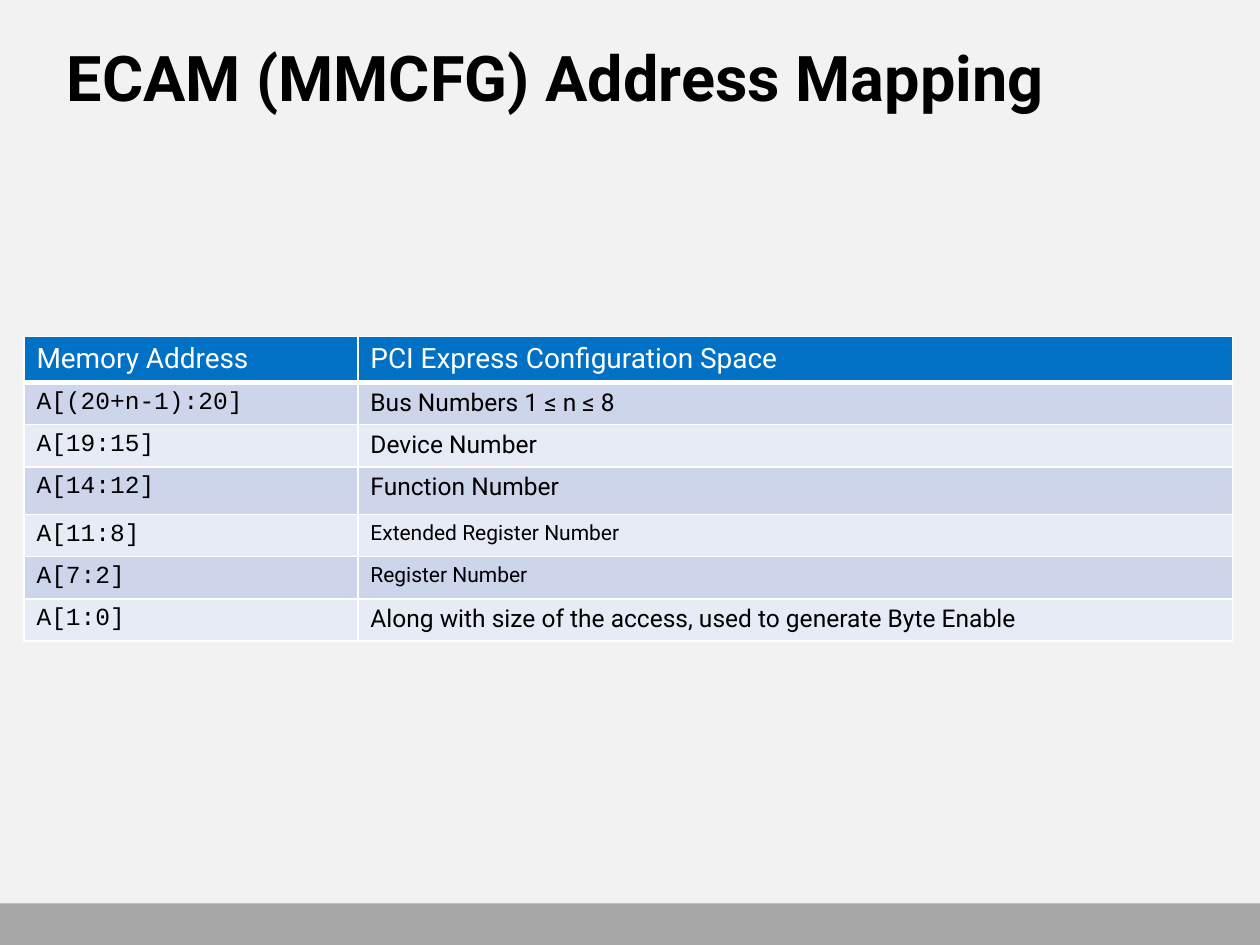
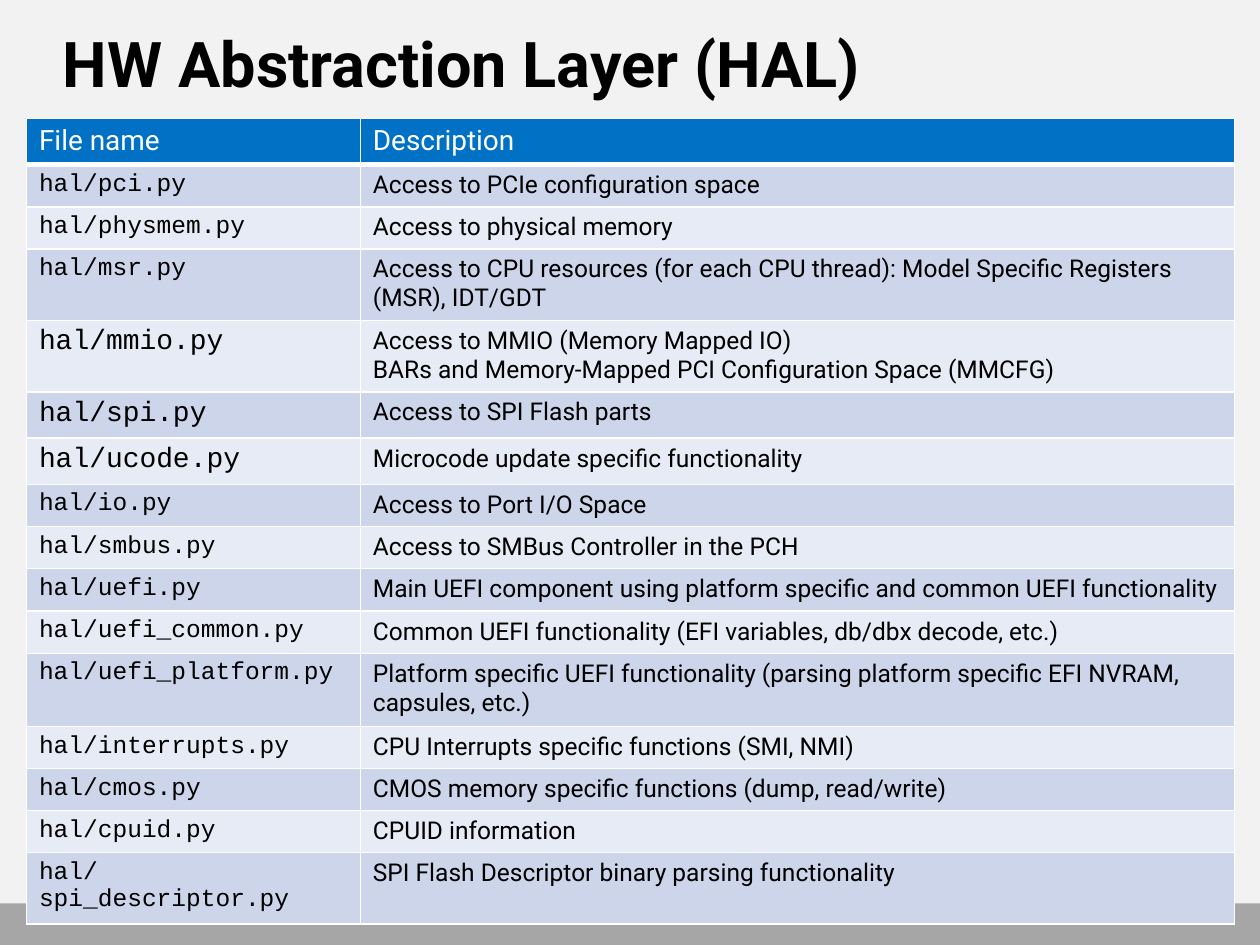
from lxml.etree import SubElement
from pptx import Presentation
from pptx.dml.color import RGBColor
from pptx.enum.shapes import MSO_SHAPE as Preset
from pptx.oxml.ns import qn
from pptx.util import Inches, Pt

PAGE = RGBColor(0xF2, 0xF2, 0xF2)
FOOTER = RGBColor(0xA6, 0xA6, 0xA6)
HEADER = RGBColor(0x00, 0x71, 0xC5)
BANDS = (RGBColor(0xCC, 0xD5, 0xEA), RGBColor(0xE7, 0xEB, 0xF5))
INK = RGBColor(0, 0, 0)
WHITE = RGBColor(0xFF, 0xFF, 0xFF)

PROSE, CODE = "Roboto", "Courier New"
TITLE_SIZE, HEADER_SIZE, BODY_SIZE, SMALL_SIZE = 36, 16, 14, 12

GRID_COLUMNS, GRID_ROWS = 100, 75
TABLE_COLUMNS = (26.5, 69.4)
BLANK_LAYOUT = 6

# Each row: height in grid rows, code, description, then any sizes that differ.
ADDRESS_HEADER = (2, "Memory Address", "PCI Express Configuration Space")
ADDRESS_ROWS = [
    (2.8, "A[(20+n-1):20]", "Bus Numbers 1 ≤ n ≤ 8"),
    (3.2, "A[19:15]", "Device Number"),
    (3.8, "A[14:12]", "Function Number"),
    (2.9, "A[11:8]", "Extended Register Number", BODY_SIZE, SMALL_SIZE),
    (3.1, "A[7:2]", "Register Number", BODY_SIZE, SMALL_SIZE),
    (2.7, "A[1:0]", "Along with size of the access, used to generate Byte Enable"),
]

HAL_HEADER = (3.4, "File name", "Description")
HAL_ROWS = [
    (2.8, "hal/pci.py", "Access to PCIe configuration space"),
    (3.2, "hal/physmem.py", "Access to physical memory"),
    (5.1, "hal/msr.py", "Access to CPU resources (for each CPU thread): "
                        "Model Specific Registers (MSR), IDT/GDT"),
    (5.4, "hal/mmio.py", "Access to MMIO (Memory Mapped IO)\n"
                         "BARs and Memory-Mapped PCI Configuration Space (MMCFG)",
     HEADER_SIZE, BODY_SIZE),
    (3.1, "hal/spi.py", "Access to SPI Flash parts", HEADER_SIZE, BODY_SIZE),
    (2.7, "hal/ucode.py", "Microcode update specific functionality",
     HEADER_SIZE, BODY_SIZE),
    (3.3, "hal/io.py", "Access to Port I/O Space"),
    (3, "hal/smbus.py", "Access to SMBus Controller in the PCH"),
    (3.4, "hal/uefi.py",
     "Main UEFI component using platform specific and common UEFI functionality"),
    (3.3, "hal/uefi_common.py",
     "Common UEFI functionality (EFI variables, db/dbx decode, etc.)"),
    (5.8, "hal/uefi_platform.py", "Platform specific UEFI functionality "
                                  "(parsing platform specific EFI NVRAM, capsules, etc.)"),
    (3.2, "hal/interrupts.py", "CPU Interrupts specific functions (SMI, NMI)"),
    (3.2, "hal/cmos.py", "CMOS memory specific functions (dump, read/write)"),
    (3, "hal/cpuid.py", "CPUID information"),
    (3.7, "hal/spi_descriptor.py", "SPI Flash Descriptor binary parsing functionality"),
]


class Deck:
    def __init__(self):
        self.presentation = Presentation()
        self.presentation.slide_width = Inches(10)
        self.presentation.slide_height = Inches(7.5)
        self.slide = None

    def across(self, columns):
        return round(self.presentation.slide_width * columns / GRID_COLUMNS)

    def down(self, rows):
        return round(self.presentation.slide_height * rows / GRID_ROWS)

    def box(self, left, top, width, height):
        return self.across(left), self.down(top), self.across(width), self.down(height)

    def start_slide(self):
        """Add a slide with the shared background and footer band."""
        layout = self.presentation.slide_layouts[BLANK_LAYOUT]
        self.slide = self.presentation.slides.add_slide(layout)
        background = self.slide.background.fill
        background.solid()
        background.fore_color.rgb = PAGE
        footer = self.slide.shapes.add_shape(
            Preset.RECTANGLE, *self.box(0, 71.7, GRID_COLUMNS, 3.3))
        footer.shadow.inherit = False
        footer.fill.solid()
        footer.fill.fore_color.rgb = FOOTER
        footer.line.fill.background()

    def add_text(self, frame, text, size, font=PROSE, color=INK, bold=False):
        """Fill a text frame, one paragraph for each line of text."""
        for index, line in enumerate(text.split("\n")):
            paragraph = frame.add_paragraph() if index else frame.paragraphs[0]
            run = paragraph.add_run()
            run.text = line
            run.font.name = font
            run.font.size = Pt(size)
            run.font.bold = bold
            run.font.color.rgb = color

    def title(self, text, left, top, width):
        frame = self.slide.shapes.add_textbox(
            *self.box(left, top, width, 10.8)).text_frame
        frame.word_wrap = True
        frame.margin_left = frame.margin_right = frame.margin_bottom = 0
        frame.margin_top = self.down(0.35)
        self.add_text(frame, text, TITLE_SIZE, bold=True)

    def style_cell(self, cell, fill, bottom_width=1):
        """Give a cell its white borders and its fill."""
        properties = cell._tc.get_or_add_tcPr()
        for edge, width in (("L", 1), ("R", 1), ("T", 1), ("B", bottom_width)):
            border = SubElement(properties, qn(f"a:ln{edge}"), w=str(Pt(width)))
            paint = SubElement(border, qn("a:solidFill"))
            SubElement(paint, qn("a:srgbClr"), val=str(WHITE))
        cell.fill.solid()
        cell.fill.fore_color.rgb = fill

    def table(self, header, rows, left, top):
        heights = [row[0] for row in (header, *rows)]
        table = self.slide.shapes.add_table(
            len(heights), len(TABLE_COLUMNS),
            *self.box(left, top, sum(TABLE_COLUMNS), sum(heights))).table
        for column, width in zip(table.columns, TABLE_COLUMNS):
            column.width = self.across(width)
        for table_row, height in zip(table.rows, heights):
            table_row.height = self.down(height)

        for cell, label in zip(table.rows[0].cells, header[1:]):
            self.add_text(cell.text_frame, label, HEADER_SIZE, color=WHITE)
            self.style_cell(cell, HEADER, bottom_width=3)
        for index, (_, code, description, *sizes) in enumerate(rows):
            code_size, description_size = sizes or (BODY_SIZE, BODY_SIZE)
            code_cell, description_cell = table.rows[index + 1].cells
            self.add_text(code_cell.text_frame, code, code_size, CODE)
            self.add_text(description_cell.text_frame, description, description_size)
            for cell in (code_cell, description_cell):
                self.style_cell(cell, BANDS[index % len(BANDS)])


def main():
    deck = Deck()

    deck.start_slide()
    deck.title("ECAM (MMCFG) Address Mapping", 5.3, 2.7, 89.1)
    deck.table(ADDRESS_HEADER, ADDRESS_ROWS, 1.9, 26.7)

    deck.start_slide()
    deck.title("HW Abstraction Layer (HAL)", 5, 1.6, 90)
    deck.table(HAL_HEADER, HAL_ROWS, 2.1, 9.4)

    deck.presentation.save("out.pptx")


if __name__ == "__main__":
    main()
